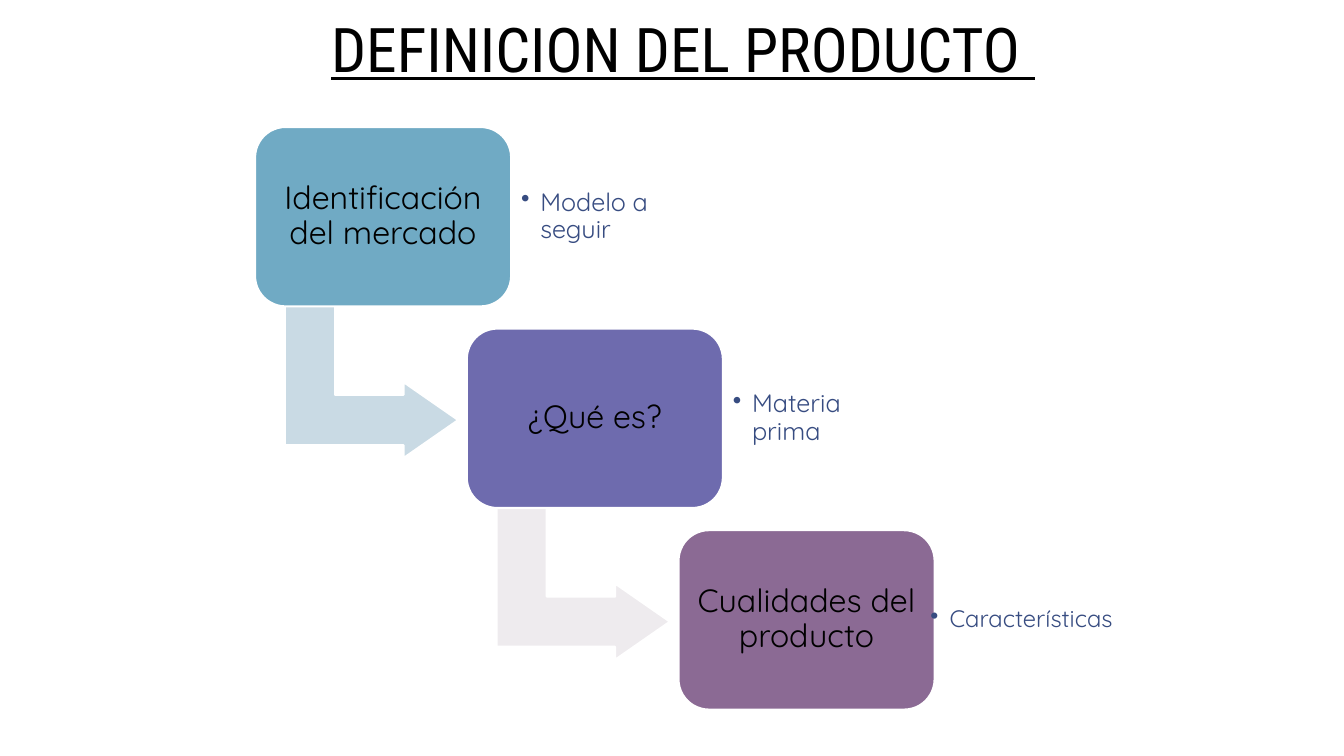
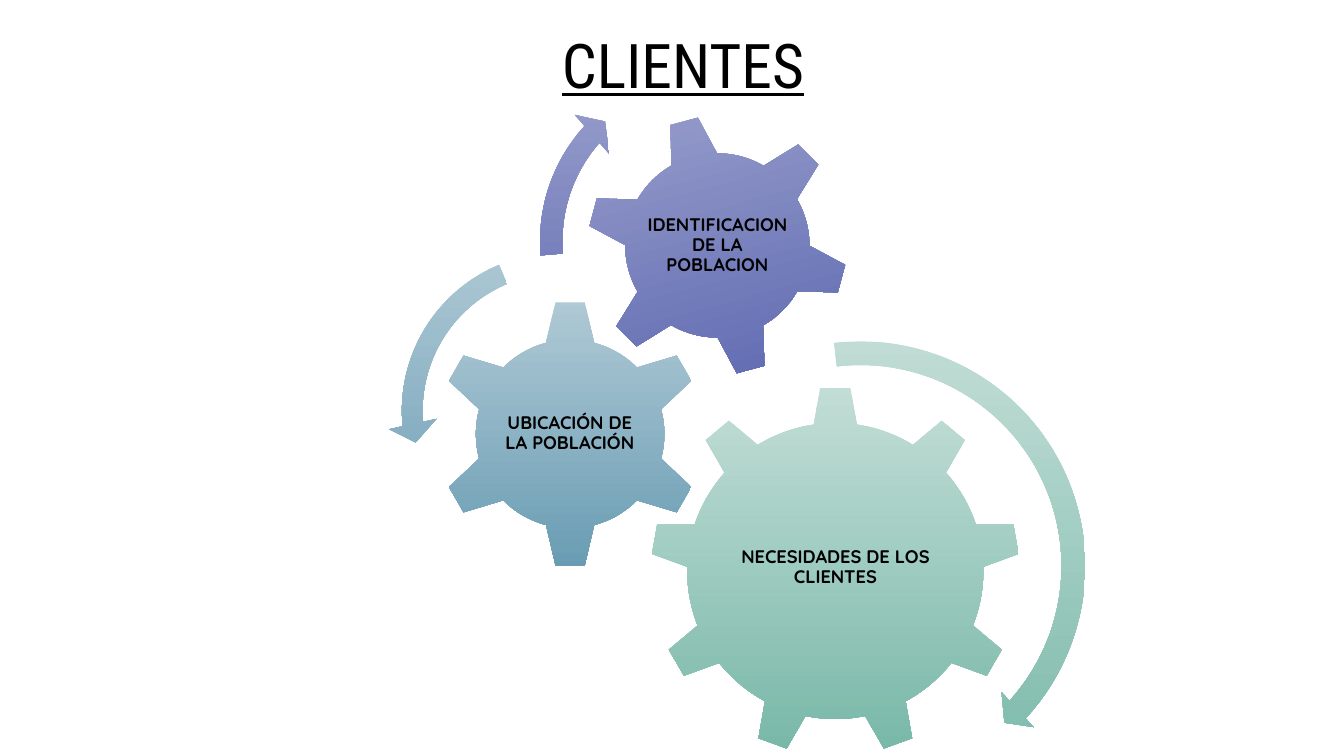
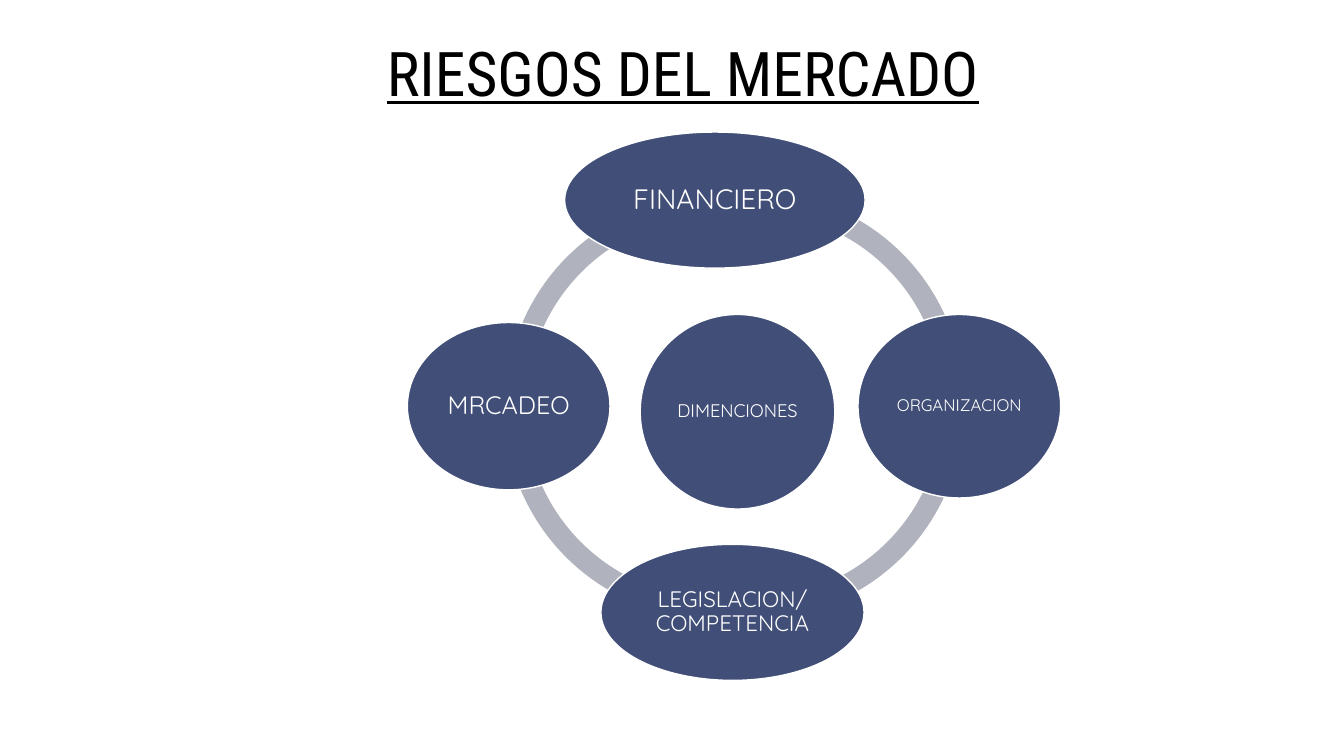
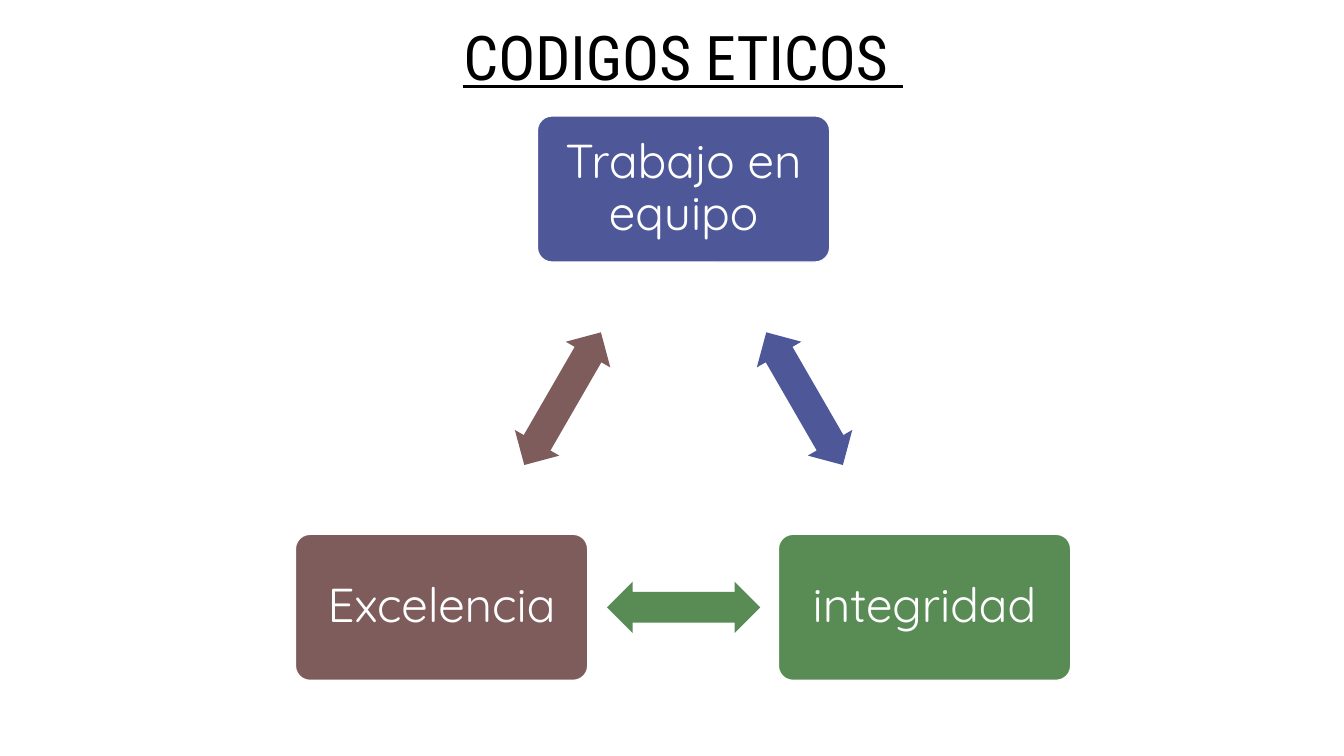
from lxml import etree
from pptx import Presentation
from pptx.dml.color import RGBColor
from pptx.enum.shapes import MSO_SHAPE
from pptx.enum.text import MSO_ANCHOR, PP_ALIGN
from pptx.oxml.ns import qn
from pptx.util import Inches, Pt

ROUNDED = MSO_SHAPE.ROUNDED_RECTANGLE
ELLIPSE = MSO_SHAPE.OVAL
BENT_ARROW = MSO_SHAPE.BENT_UP_ARROW
DOUBLE_ARROW = MSO_SHAPE.LEFT_RIGHT_ARROW
BLOCK_ARC = MSO_SHAPE.BLOCK_ARC
GEAR_6 = MSO_SHAPE.GEAR_6
GEAR_9 = MSO_SHAPE.GEAR_9
RIGHT_TURN = MSO_SHAPE.CIRCULAR_ARROW
LEFT_TURN = MSO_SHAPE.LEFT_CIRCULAR_ARROW
MIDDLE = MSO_ANCHOR.MIDDLE
BOTTOM = MSO_ANCHOR.BOTTOM
CENTER = PP_ALIGN.CENTER
LEFT = PP_ALIGN.LEFT

COLORS = {
    "white": "FFFFFF", "black": "000000", "bullet": "374C81",
    "sky": "70AAC4", "violet": "6E6BAE", "plum": "8B6A94",
    "pale_sky": "C9DAE4", "pale_plum": "EEEBEE",
    "mint_top": "C2DDD6", "mint_end": "78B8A8",
    "steel_top": "AFC9D5", "steel_end": "699CB3",
    "indigo_top": "9CA2CD", "indigo_end": "5964AF",
    "navy": "414E77", "ring": "B0B2BD",
    "blue": "4E5798", "green": "598B55", "brown": "7E5C5C",
}
COLORS = {name: RGBColor.from_string(value) for name, value in COLORS.items()}
BODY_FONT = "Quicksand"
TITLE_FONT = "Roboto Condensed"


def write(shape, text, size, color, inset=(0.1, 0.1), anchor=MIDDLE, align=CENTER,
          spacing=0.9, after=0.35, **font):
    frame = shape.text_frame
    across, down = [Inches(value) for value in inset]
    frame_format = {"word_wrap": True, "vertical_anchor": anchor,
                    "margin_left": across, "margin_right": across,
                    "margin_top": down, "margin_bottom": down}
    for name, value in frame_format.items():
        setattr(frame, name, value)
    para = frame.paragraphs[0]
    para_format = {"alignment": align, "line_spacing": spacing, "space_after": Pt(size * after)}
    for name, value in para_format.items():
        setattr(para, name, value)
    span = para.add_run()
    span.text = text
    span.font.color.rgb = COLORS[color]
    for name, value in {"name": BODY_FONT, "size": Pt(size), **font}.items():
        setattr(span.font, name, value)
    return para


def draw(page, kind, place, fill, line=0, adjust=(), rotation=0):
    shape = page.shapes.add_shape(kind, *[Inches(value) for value in place])
    shape.shadow.inherit = False
    shape.rotation = rotation
    for index, value in enumerate(adjust):
        shape.adjustments[index] = value
    if isinstance(fill, tuple):
        shape.fill.gradient()
        shape.fill.gradient_angle = 270
        for stop, color in zip(shape.fill.gradient_stops, fill):
            stop.color.rgb = COLORS[color]
    else:
        shape.fill.solid()
        shape.fill.fore_color.rgb = COLORS[fill]
    if line:
        shape.line.color.rgb = COLORS["white"]
        shape.line.width = Pt(line)
    else:
        shape.line.fill.background()
    return shape


deck = Presentation()
deck.slide_width = Inches(13.33)
deck.slide_height = Inches(7.5)

TITLES = [
    ("DEFINICION DEL PRODUCTO ", 0.83),
    ("CLIENTES", 0.99),
    ("RIESGOS DEL MERCADO", 1.07),
    ("CODIGOS ETICOS ", 0.91),
]
pages = []
for text, height in TITLES:
    page = deck.slides.add_slide(deck.slide_layouts[6])
    page.background.fill.solid()
    page.background.fill.fore_color.rgb = COLORS["white"]
    title = page.shapes.add_textbox(Inches(1.22), Inches(0.08), Inches(11.11), Inches(height))
    write(title, text, 44, "black", (0.13, 0.07), BOTTOM, spacing=0.85, after=0,
          name=TITLE_FONT, underline=True)
    pages.append(page)
product_page, clients_page, risks_page, ethics_page = pages

STEPS = [
    ("Identificación del mercado", "sky", "pale_sky", "Modelo a seguir", 18, 5.07, 1.85),
    ("¿Qué es?", "violet", "pale_plum", "Materia prima", 18, 7.17, 1.85),
    ("Cualidades del producto", "plum", None, "Características", 17, 9.13, 2.14),
]
for index, (text, fill, arrow_fill, detail, size, detail_left, detail_width) in enumerate(STEPS):
    right, down = 2.1 * index, 2 * index
    if arrow_fill:
        draw(product_page, BENT_ARROW, (2.93 + right, 2.93 + down, 1.51, 1.72), arrow_fill,
             1.5, (0.33, 0.25, 0.36), 90)
    step = draw(product_page, ROUNDED, (2.53 + right, 1.26 + down, 2.54, 1.78), fill, 1.5, (0.17,))
    write(step, text, 23, "black")
    note = product_page.shapes.add_textbox(
        Inches(detail_left), Inches(1.43 + down), Inches(detail_width), Inches(1.44))
    para = write(note, detail, size, "bullet", align=LEFT, after=0.15)
    properties = para._p.get_or_add_pPr()
    properties.set("marL", str(Inches(0.19)))
    properties.set("indent", str(-Inches(0.19)))
    etree.SubElement(properties, qn("a:buChar"), char="•")

MINT = ("mint_top", "mint_end")
STEEL = ("steel_top", "steel_end")
INDIGO = ("indigo_top", "indigo_end")
GEARS = [
    ("NECESIDADES DE LOS CLIENTES", GEAR_9, (6.45, 3.83, 3.67, 3.67), 0, MINT,
     (7.19, 4.69, 2.19, 1.88)),
    ("UBICACIÓN DE LA POBLACIÓN", GEAR_6, (4.32, 2.97, 2.67, 2.67), 0, STEEL,
     (4.99, 3.64, 1.32, 1.32)),
    ("IDENTIFICACION DE LA POBLACION", GEAR_6, (5.81, 1.13, 2.61, 2.61), 345, INDIGO,
     (6.38, 1.7, 1.47, 1.47)),
]
for text, kind, place, rotation, fill, label_place in GEARS:
    draw(clients_page, kind, place, fill, rotation=rotation)
    label = clients_page.shapes.add_textbox(*[Inches(value) for value in label_place])
    write(label, text, 13, "black", (0.02, 0.02), bold=True)

TURNS = [
    (RIGHT_TURN, 6.19, 3.27, 4.69, MINT, (0.05, 2.99, 25.48, 157.94, 0.05)),
    (LEFT_TURN, 3.85, 2.37, 3.41, STEEL, (0.06, 4.3, 104.89, 148.38, 0.07)),
    (RIGHT_TURN, 5.21, 0.55, 3.68, INDIGO, (0.06, 3.94, 133.14, 105.08, 0.07)),
]
for kind, left, top, side, fill, adjust in TURNS:
    draw(clients_page, kind, (left, top, side, side), fill, adjust=adjust)

ARCS = [
    (5.01, 1.94, 4.16, 108, 162),
    (5, 1.95, 4.19, 51.11, 108.15),
    (5.37, 1.95, 4.19, 215.8, 57.44),
    (5.37, 1.9, 4.19, 155.64, 0.59),
]
for left, top, width, start, end in ARCS:
    draw(risks_page, BLOCK_ARC, (left, top, width, 4.19), "ring", adjust=(start, end, 0.05))

RISKS = [
    ("DIMENCIONES", 13, (6.35, 3.12, 1.93, 1.93)),
    ("FINANCIERO", 20, (5.6, 1.31, 2.98, 1.35)),
    ("ORGANIZACION", 12, (8.51, 3.12, 2.01, 1.82)),
    ("LEGISLACION/ COMPETENCIA", 16, (5.96, 5.4, 2.61, 1.35)),
    ("MRCADEO", 18, (4.04, 3.2, 2.01, 1.66)),
]
for text, size, place in RISKS:
    risk = draw(risks_page, ELLIPSE, place, "navy", 1)
    write(risk, text, size, "white", (0.02, 0.02))

VALUES = [
    ("Trabajo en equipo", "blue", 5.33, 1.15, 7.22, 3.7, 60),
    ("integridad", "green", 7.72, 5.3, 6.02, 5.77, 180),
    ("Excelencia", "brown", 2.93, 5.3, 4.82, 3.7, 300),
]
for text, fill, left, top, arrow_left, arrow_top, rotation in VALUES:
    box = draw(ethics_page, ROUNDED, (left, top, 2.9, 1.45), fill, 1, (0.1,))
    write(box, text, 34, "white", (0.14, 0.14))
    draw(ethics_page, DOUBLE_ARROW, (arrow_left, arrow_top, 1.52, 0.51), fill,
         adjust=(0.6, 0.5), rotation=rotation)

deck.save("out.pptx")
